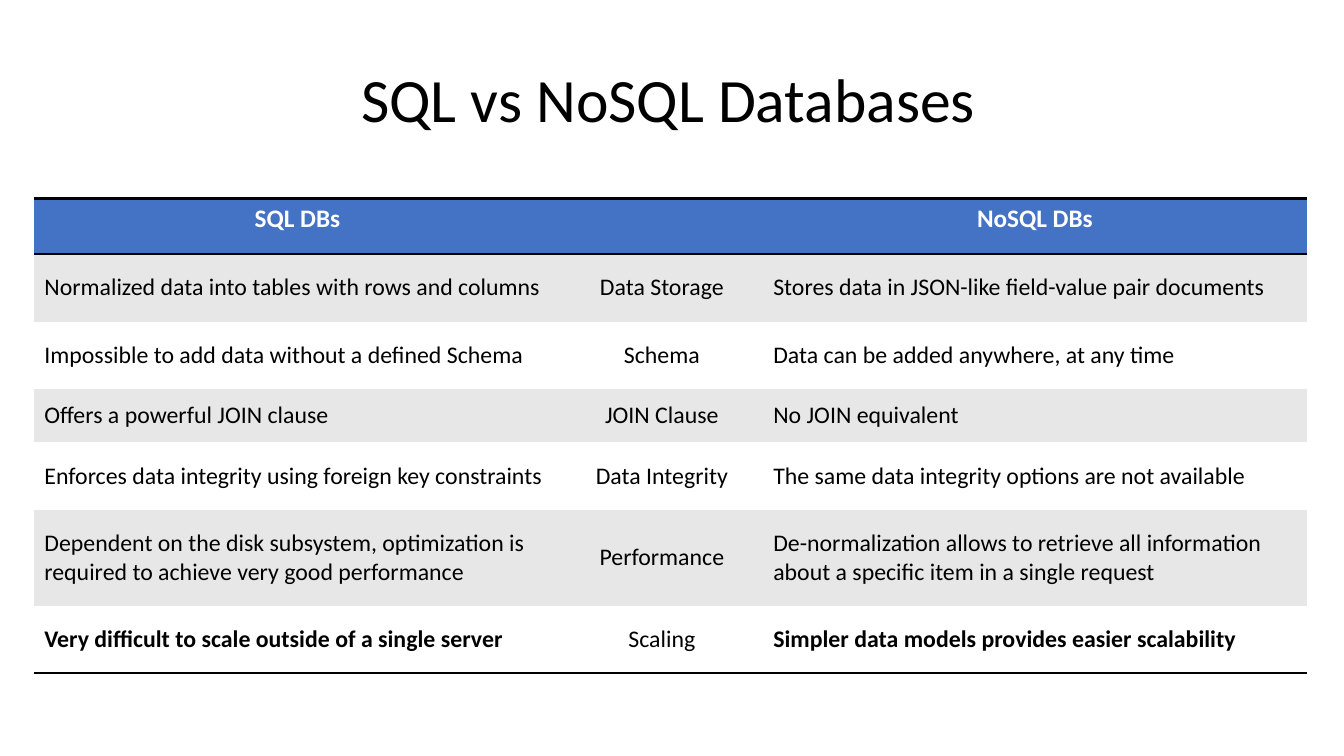
from dataclasses import dataclass

import lxml.etree
import pptx
import pptx.dml.color
import pptx.enum.text
import pptx.oxml.ns
import pptx.table
import pptx.text.text
import pptx.util

Inches = pptx.util.Inches
ALIGN = pptx.enum.text.PP_ALIGN
ANCHOR = pptx.enum.text.MSO_ANCHOR

FONT = "Calibri"
COLORS = {"text": "000000", "header": "4472C4", "header_text": "FFFFFF",
          "band": "E7E7E7", "plain": "FFFFFF", "rule": "000000"}
PLAIN_TABLE_STYLE = "{2D5ABB26-0587-4C30-8999-92F81FD0307C}"
COLUMN_WIDTHS = (5.22, 2.01, 5.39)
ASPECT_COLUMN = 1


@dataclass(frozen=True)
class Comparison:
    sql: str
    aspect: str
    nosql: str
    height: float = 0.67
    bold_sides: bool = False


HEADER = Comparison("SQL DBs", "", "NoSQL DBs", 0.55, True)
COMPARISONS = (
    Comparison("Normalized data into tables with rows and columns", "Data Storage",
               "Stores data in JSON-like field-value pair documents"),
    Comparison("Impossible to add data without a defined Schema", "Schema",
               "Data can be added anywhere, at any time"),
    Comparison("Offers a powerful JOIN clause", "JOIN Clause",
               "No JOIN equivalent", 0.53),
    Comparison("Enforces data integrity using foreign key constraints", "Data Integrity",
               "The same data integrity options are not available"),
    Comparison("Dependent on the disk subsystem, optimization is required to achieve "
               "very good performance", "Performance",
               "De-normalization allows to retrieve all information about a specific "
               "item in a single request", 0.95),
    Comparison("Very difficult to scale outside of a single server", "Scaling",
               "Simpler data models provides easier scalability", bold_sides=True),
)


def rgb(name: str) -> pptx.dml.color.RGBColor:
    return pptx.dml.color.RGBColor.from_string(COLORS[name])


def style_text(paragraph: pptx.text.text._Paragraph, size: float, color: str,
               align: ALIGN, bold: bool = False) -> None:
    paragraph.alignment = align
    for run in paragraph.runs:
        run.font.name = FONT
        run.font.size = pptx.util.Pt(size)
        run.font.bold = bold
        run.font.color.rgb = rgb(color)


def add_rule(cell: pptx.table._Cell, edge: str, position: int) -> None:
    """Draw a cell border; borders come before the fill in the cell properties."""
    qn = pptx.oxml.ns.qn
    line = lxml.etree.Element(qn(f"a:{edge}"), w=str(pptx.util.Pt(2)))
    fill = lxml.etree.SubElement(line, qn("a:solidFill"))
    lxml.etree.SubElement(fill, qn("a:srgbClr"), val=COLORS["rule"])
    cell._tc.get_or_add_tcPr().insert(position, line)


def fill_row(table: pptx.table.Table, index: int, entry: Comparison) -> None:
    is_header = index == 0
    is_last = index == len(COMPARISONS)
    background = "header" if is_header else "band" if index % 2 else "plain"
    table.rows[index].height = Inches(entry.height)
    for column, wording in enumerate((entry.sql, entry.aspect, entry.nosql)):
        cell = table.cell(index, column)
        is_aspect = column == ASPECT_COLUMN
        cell.text_frame.text = wording
        cell.vertical_anchor = ANCHOR.TOP if is_header else ANCHOR.MIDDLE
        cell.fill.solid()
        cell.fill.fore_color.rgb = rgb(background)
        style_text(cell.text_frame.paragraphs[0],
                   18 if is_header else 17,
                   "header_text" if is_header else "text",
                   ALIGN.CENTER if is_header or is_aspect else ALIGN.LEFT,
                   entry.bold_sides and not is_aspect)
        edges = ("lnT", "lnB") if is_header else ("lnB",) if is_last else ()
        for position, edge in enumerate(edges):
            add_rule(cell, edge, position)


def main() -> None:
    presentation = pptx.Presentation()
    presentation.slide_width = Inches(13.33)
    presentation.slide_height = Inches(7.5)
    slide = presentation.slides.add_slide(presentation.slide_layouts[6])

    # Comparison table
    entries = (HEADER, *COMPARISONS)
    frame = slide.shapes.add_table(
        len(entries), len(COLUMN_WIDTHS), Inches(0.34), Inches(1.97),
        Inches(sum(COLUMN_WIDTHS)), Inches(sum(entry.height for entry in entries)))
    comparison = frame.table
    comparison.horz_banding = False
    style_id = comparison._tbl.tblPr.find(pptx.oxml.ns.qn("a:tableStyleId"))
    style_id.text = PLAIN_TABLE_STYLE
    for column, width in zip(comparison.columns, COLUMN_WIDTHS):
        column.width = Inches(width)
    for index, entry in enumerate(entries):
        fill_row(comparison, index, entry)

    # Title
    title = slide.shapes.add_textbox(Inches(1.89), Inches(0.57),
                                     Inches(9.48), Inches(0.9)).text_frame
    title.word_wrap = True
    title.vertical_anchor = ANCHOR.MIDDLE
    title.text = "SQL vs NoSQL Databases"
    title.paragraphs[0].line_spacing = 0.9
    style_text(title.paragraphs[0], 44, "text", ALIGN.CENTER)

    presentation.save("out.pptx")


if __name__ == "__main__":
    main()
